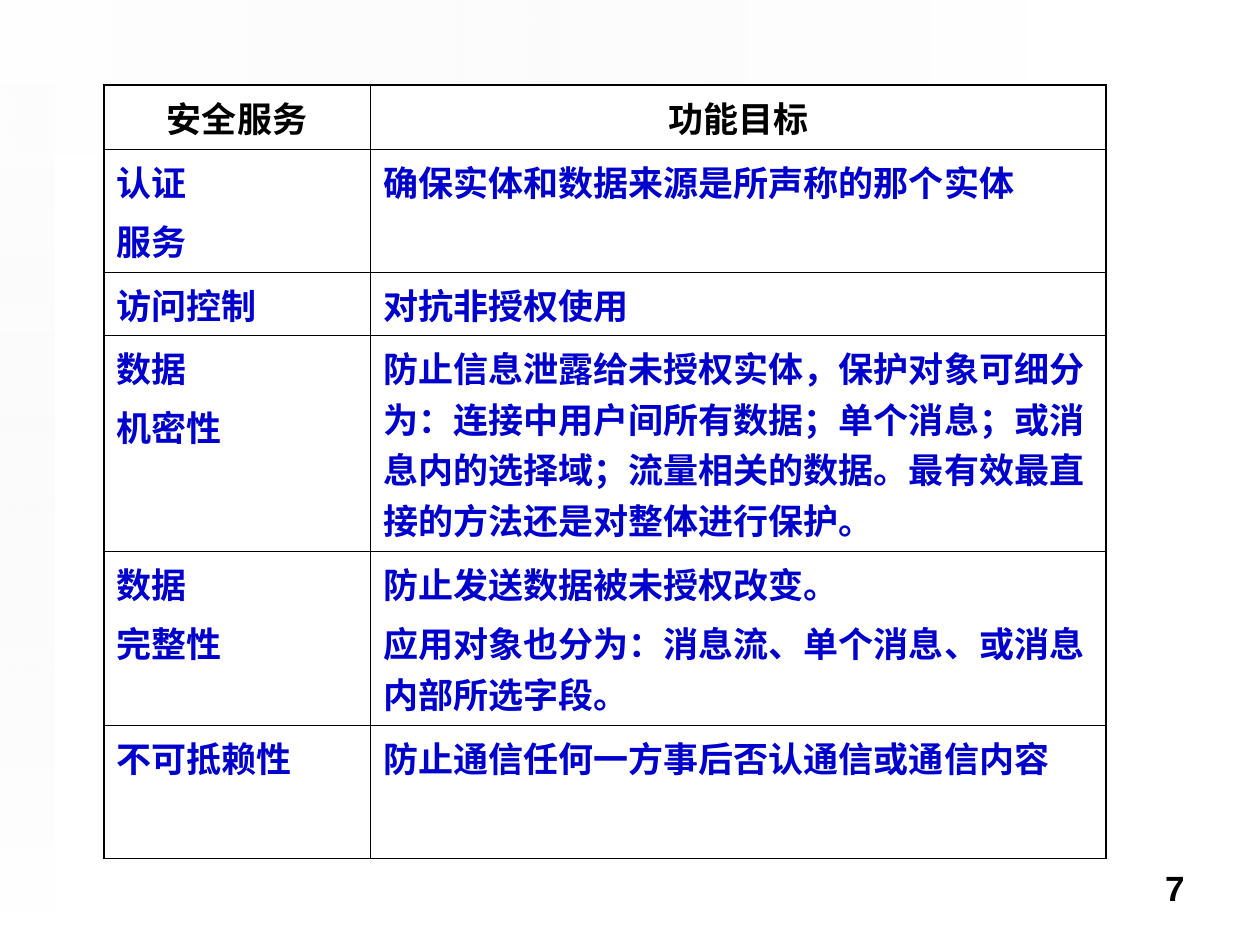
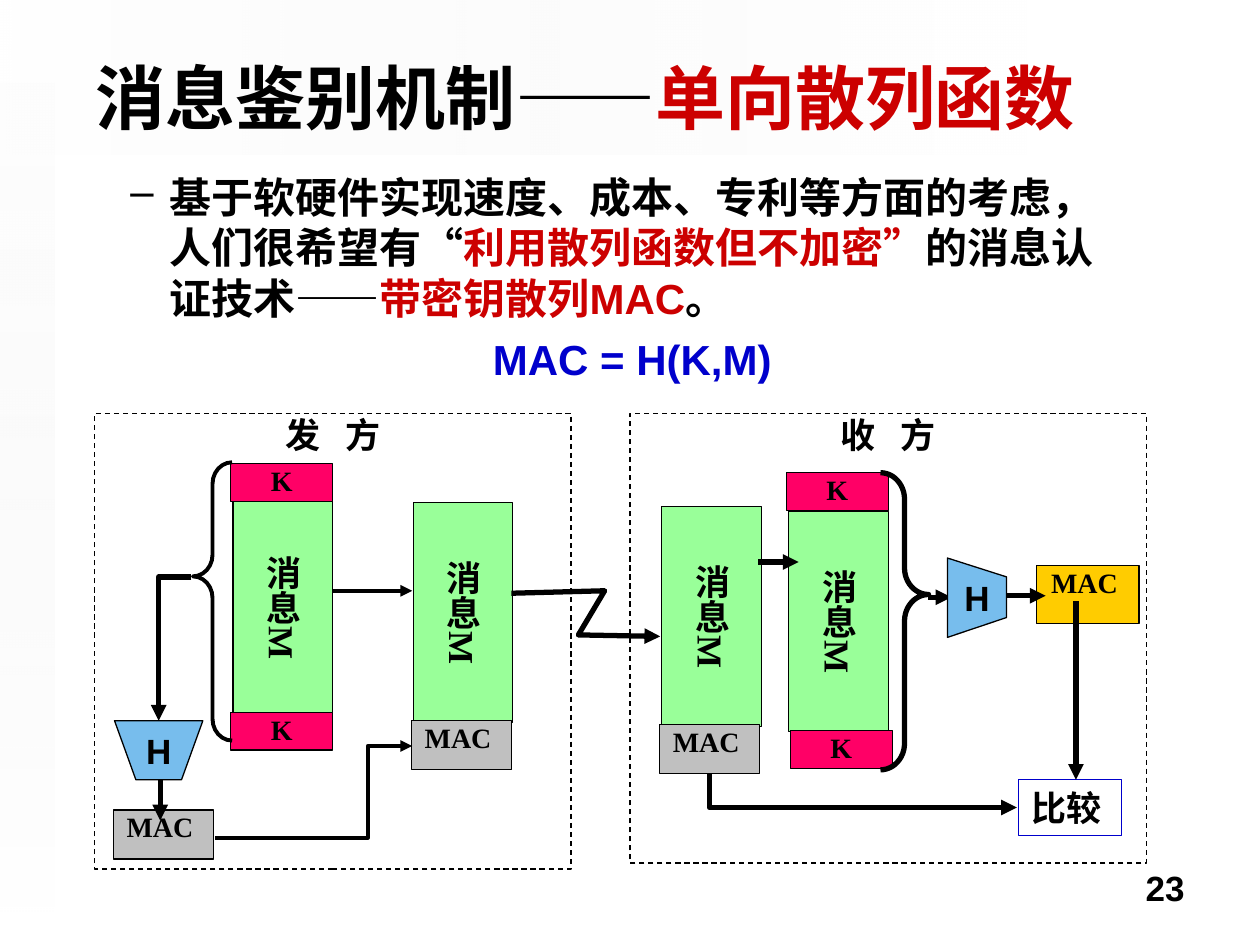
"""Build two slides on security services and keyed hash message authentication."""
from lxml import etree
from pptx import Presentation
from pptx.dml.color import RGBColor
from pptx.enum import dml, shapes, text
from pptx.oxml import ns
from pptx.util import Cm, Pt

rgb = RGBColor.from_string
BLACK, WHITE, BLUE, RED = "000000", "FFFFFF", "0000CC", "CC0000"
GREEN, GREY, PINK, YELLOW, SKY = "99FF99", "C0C0C0", "FF0066", "FFCC00", "77BDED"
LATIN, SERIF, CHINESE = "Arial", "Times New Roman", "Noto Sans CJK SC"
LEFT, CENTER, RIGHT = text.PP_ALIGN.LEFT, text.PP_ALIGN.CENTER, text.PP_ALIGN.RIGHT
TOP, MIDDLE = text.MSO_ANCHOR.TOP, text.MSO_ANCHOR.MIDDLE
SHAPE, CONNECTOR = shapes.MSO_SHAPE, shapes.MSO_CONNECTOR


def style(frame, size, colour=BLACK, font=LATIN, align=CENTER):
    for paragraph in frame.paragraphs:
        paragraph.alignment = align
        for run in paragraph.runs:
            run.font.size, run.font.bold, run.font.name = Pt(size), True, font
            run.font.color.rgb = rgb(colour)
            etree.SubElement(run._r.get_or_add_rPr(), ns.qn("a:ea"), typeface=CHINESE)


def paint(shape, fill=None, line=BLACK, width=0.75):
    shape.shadow.inherit = False
    if fill:
        shape.fill.solid()
        shape.fill.fore_color.rgb = rgb(fill)
    else:
        shape.fill.background()
    shape.line.color.rgb = rgb(line)
    shape.line.width = Pt(width)


deck = Presentation()
deck.slide_width, deck.slide_height = Cm(25.4), Cm(19.05)

bands = [
    (8.79, -8.79, 3.12, 20.7, 90, 90, "49000"),
    (0, 0, 1.09, 18.44, 180, 270, "65000"),
]
for page in ("7", "23"):
    slide = deck.slides.add_slide(deck.slide_layouts[6])
    for x, y, w, h, turn, angle, opacity in bands:
        band = slide.shapes.add_shape(SHAPE.RECTANGLE, Cm(x), Cm(y), Cm(w), Cm(h))
        band.shadow.inherit = False
        band.rotation = turn
        band.line.fill.background()
        band.fill.gradient()
        band.fill.gradient_angle = angle
        for stop, colour in zip(band.fill.gradient_stops, ("EAEAEA", WHITE)):
            stop.color.rgb = rgb(colour)
        for tint, alpha in zip(band._element.spPr.iter(ns.qn("a:srgbClr")), ("0", opacity)):
            etree.SubElement(tint, ns.qn("a:alpha"), val=alpha)
    number = slide.shapes.add_textbox(Cm(18.21), Cm(17.35), Cm(5.92), Cm(1.32)).text_frame
    number.word_wrap = True
    number.text = page
    style(number, 20, align=RIGHT)

services_slide, hash_slide = deck.slides

services = [
    ("安全服务", "功能目标", 1.29),
    ("认证\n服务", "确保实体和数据来源是所声称的那个实体", 2.48),
    ("访问控制", "对抗非授权使用", 1.27),
    ("数据\n机密性", "防止信息泄露给未授权实体，保护对象可细分为：连接中用户间所有数据；单个消息；"
     "或消息内的选择域；流量相关的数据。最有效最直接的方法还是对整体进行保护。", 4.35),
    ("数据\n完整性", "防止发送数据被未授权改变。\n应用对象也分为：消息流、单个消息、或消息内部所选字段。", 3.51),
    ("不可抵赖性", "防止通信任何一方事后否认通信或通信内容", 2.69),
]
last = len(services) - 1
table = services_slide.shapes.add_table(
    len(services), 2, Cm(2.09), Cm(1.72), Cm(20.21), Cm(15.59)).table
table.horz_banding = False
table.columns[0].width, table.columns[1].width = Cm(5.38), Cm(14.83)
for row, (service, goal, height) in enumerate(services):
    table.rows[row].height = Cm(height)
    for column, content in enumerate((service, goal)):
        cell = table.cell(row, column)
        cell.text = content
        style(cell.text_frame, 20, BLUE if row else BLACK, align=LEFT if row else CENTER)
        for paragraph in cell.text_frame.paragraphs[1:]:
            paragraph.space_before = Pt(5)
        outer = {"lnL": column == 0, "lnR": column == 1, "lnT": row == 0, "lnB": row == last}
        for side, is_outer in outer.items():
            border = etree.SubElement(cell._tc.get_or_add_tcPr(), ns.qn("a:" + side),
                                      w=str(Pt(1.08 if is_outer else 0.45)))
            ink = etree.SubElement(border, ns.qn("a:solidFill"))
            etree.SubElement(ink, ns.qn("a:srgbClr"), val=BLACK)
        cell.fill.solid()
        cell.fill.fore_color.rgb = rgb(WHITE)

title = hash_slide.shapes.add_textbox(Cm(0.7), Cm(0.71), Cm(22.2), Cm(2.46)).text_frame
title.word_wrap = True
title.vertical_anchor = MIDDLE
title.text = "消息鉴别机制——"
topic = title.paragraphs[0].add_run()
topic.text = "单向散列函数"
style(title, 40)
topic.font.color.rgb = rgb(RED)

body = hash_slide.shapes.add_textbox(Cm(1.11), Cm(3.33), Cm(22), Cm(13.59)).text_frame
body.word_wrap = True
reason, formula = body.paragraphs[0], body.add_paragraph()
phrases = [
    ("基于软硬件实现速度、成本、专利等方面的考虑，人们很希望有", BLACK, LATIN),
    ("“", BLACK, CHINESE),
    ("利用散列函数但不加密", RED, LATIN),
    ("”", RED, CHINESE),
    ("的消息认证技术", BLACK, LATIN),
    ("——", BLACK, CHINESE),
    ("带密钥散列MAC", RED, LATIN),
    ("。", BLACK, LATIN),
]
for phrase, _, _ in phrases:
    reason.add_run().text = phrase
formula.text = "MAC = H(K,M)"
for paragraph in (reason, formula):
    indents = paragraph._p.get_or_add_pPr()
    indents.set("marL", str(Cm(2.06)))
    indents.set("indent", str(Cm(-0.79)))
etree.SubElement(reason._p.get_or_add_pPr(), ns.qn("a:buChar"), char="–")
style(body, 24)
reason.alignment = LEFT
formula.space_before = Pt(6)
formula.runs[0].font.color.rgb = rgb(BLUE)
for run, (_, colour, font) in zip(reason.runs, phrases):
    run.font.color.rgb = rgb(colour)
    run.font.name = font

for party, x, w, h in (("发 方", 1.91, 9.6, 9.19), ("收 方", 12.7, 10.41, 9.07)):
    area = hash_slide.shapes.add_shape(SHAPE.RECTANGLE, Cm(x), Cm(8.33), Cm(w), Cm(h))
    paint(area, WHITE)
    area.line.dash_style = dml.MSO_LINE.DASH
    label = area.text_frame
    label.margin_left = label.margin_top = label.margin_right = label.margin_bottom = 0
    label.vertical_anchor = TOP
    label.text = party
    style(label, 20, font=SERIF)
    label.paragraphs[0].runs[0]._r.get_or_add_rPr().set("spc", "500")

blocks = [
    ("消息M", GREEN, BLACK, 20, SERIF, 2.01, 4.44,
     [(4.7, 10.03), (8.33, 10.13), (13.34, 10.21), (15.9, 10.31)]),
    ("MAC ", GREY, BLACK, 16, SERIF, 2.01, 0.99, [(2.29, 16.33), (8.3, 14.53), (13.3, 14.6)]),
    ("MAC ", YELLOW, BLACK, 16, SERIF, 2.06, 1.17, [(20.9, 11.4)]),
    ("K", PINK, BLACK, 16, SERIF, 2.06, 0.76,
     [(4.65, 9.35), (4.65, 14.36), (15.85, 9.53), (15.93, 14.73)]),
    ("比较", None, BLUE, 20, LATIN, 2.08, 1.12, [(20.53, 15.72)]),
]
for name, fill, line, size, font, w, h, places in blocks:
    for x, y in places:
        block = hash_slide.shapes.add_shape(SHAPE.RECTANGLE, Cm(x), Cm(y), Cm(w), Cm(h))
        paint(block, fill, line)
        label = block.text_frame
        label.margin_left = label.margin_top = label.margin_bottom = 0
        label.margin_right = Cm(0 if fill else 0.14)
        label.vertical_anchor = TOP if size == 16 else MIDDLE
        label.text = name
        style(label, size, font=font)
        if fill == GREEN:
            label._txBody.bodyPr.set("vert", "eaVert")
            label._txBody.bodyPr.set("anchorCtr", "1")

braces = [
    (SHAPE.LEFT_BRACE, 3.89, 9.32, 0.79, 5.61, 2.25),
    (SHAPE.RIGHT_BRACE, 17.75, 9.53, 0.97, 5.99, 3),
]
for kind, x, y, w, h, width in braces:
    brace = hash_slide.shapes.add_shape(kind, Cm(x), Cm(y), Cm(w), Cm(h))
    paint(brace, width=width)
    brace.adjustments[0], brace.adjustments[1] = 0.55, 0.41

arrows = [
    ("line", 3.23, 15.32, 3.23, 16.54, 3, "tailEnd"),
    ("line", 18.7, 12.04, 19.18, 12.04, 3, "tailEnd"),
    ("line", 20.29, 12.01, 21.08, 12.01, 3, "tailEnd"),
    ("line", 6.71, 11.91, 8.31, 11.91, 2.25, "tailEnd"),
    ("line", 15.29, 11.33, 16.1, 11.33, 3, "tailEnd"),
    ("line", 21.69, 12.12, 21.69, 15.72, 3, "tailEnd"),
    ("bentConnector3", 4.34, 16.89, 8.31, 15.04, 2.25, "tailEnd"),
    ("bentConnector2", 3.86, 11.63, 3.2, 14.53, 3, "tailEnd"),
    ("bentConnector2", 20.5, 16.28, 14.3, 15.6, 3, "headEnd"),
]
for route, x1, y1, x2, y2, width, tip in arrows:
    kind = CONNECTOR.STRAIGHT if route == "line" else CONNECTOR.ELBOW
    arrow = hash_slide.shapes.add_connector(kind, Cm(x1), Cm(y1), Cm(x2), Cm(y2))
    arrow.line.color.rgb = rgb(BLACK)
    arrow.line.width = Pt(width)
    outline = arrow._element.spPr
    etree.SubElement(outline.find(ns.qn("a:ln")), ns.qn("a:" + tip), type="triangle")
    etree.SubElement(outline, ns.qn("a:effectLst"))
    geometry = outline.find(ns.qn("a:prstGeom"))
    geometry.set("prst", route)
    if route == "bentConnector3":
        etree.SubElement(geometry.find(ns.qn("a:avLst")), ns.qn("a:gd"), name="adj1", fmla="val 77500")

channel = [(10.31, 11.96), (12.19, 11.91), (11.66, 12.8), (13.31, 12.83)]
sender_hash = [(2.31, 14.53), (2.74, 15.72), (3.66, 15.72), (4.09, 14.53)]
receiver_hash = [(19.1, 12.85), (20.29, 12.45), (20.29, 11.63), (19.1, 11.25)]
for points in (channel, sender_hash, receiver_hash):
    is_hash = points is not channel
    corners = [(Cm(x), Cm(y)) for x, y in points]
    pen = hash_slide.shapes.build_freeform(*corners[0])
    pen.add_line_segments(corners[1:], close=is_hash)
    figure = pen.convert_to_shape()
    paint(figure, SKY if is_hash else None, width=0.75 if is_hash else 3)
    if is_hash:
        figure.text_frame.word_wrap = False
        figure.text_frame.vertical_anchor = MIDDLE
        figure.text_frame.text = "H"
        style(figure.text_frame, 20)
    else:
        etree.SubElement(figure._element.spPr.find(ns.qn("a:ln")), ns.qn("a:tailEnd"), type="triangle")

deck.save("out.pptx")
